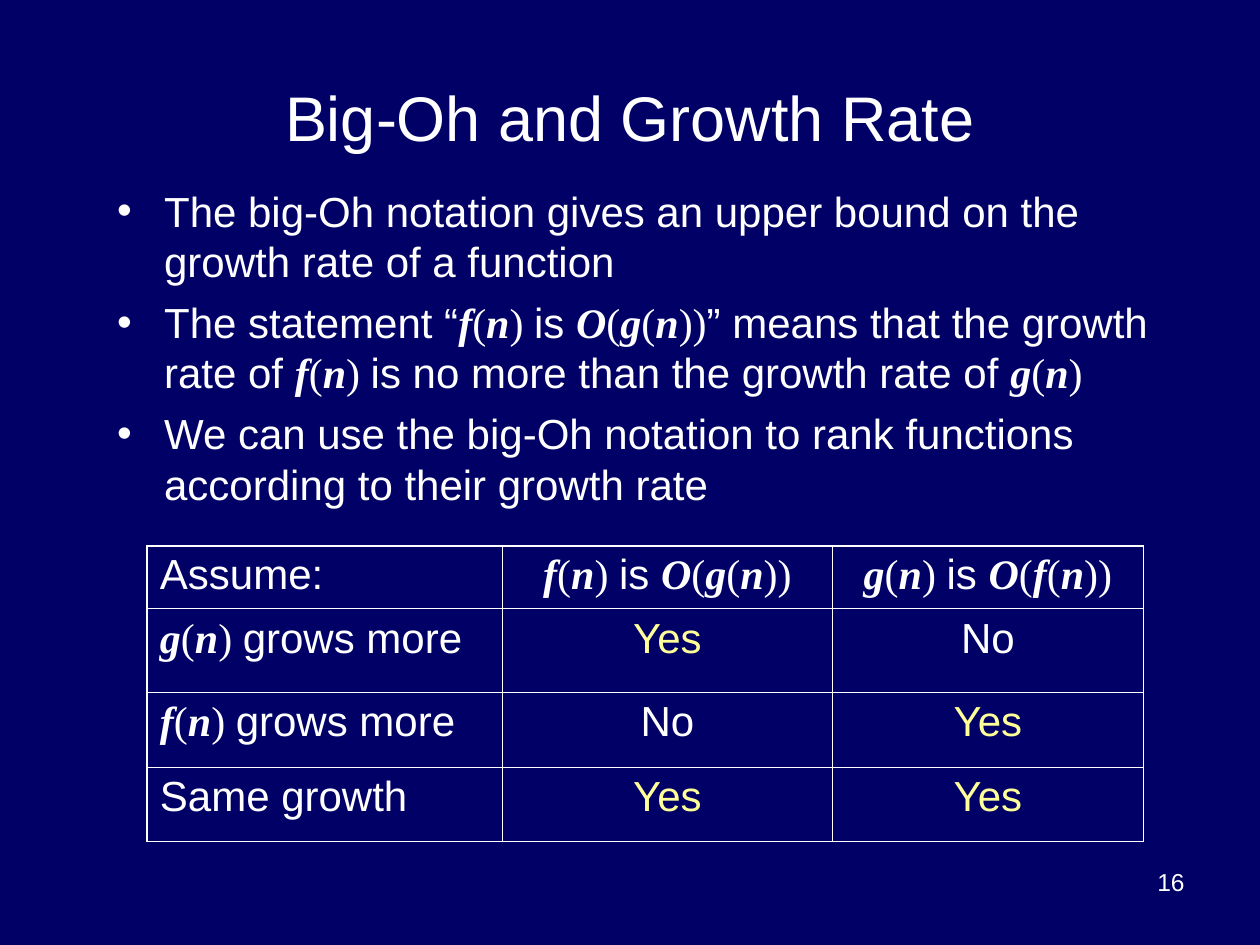
from dataclasses import dataclass
from itertools import groupby

from lxml import etree
from pptx import Presentation
from pptx import util as u
from pptx.dml.color import RGBColor
from pptx.enum import text
from pptx.oxml import ns

Cm, Pt = u.Cm, u.Pt
LEFT, MID, RIGHT = text.PP_ALIGN.LEFT, text.PP_ALIGN.CENTER, text.PP_ALIGN.RIGHT


@dataclass(frozen=True)
class Theme:
    back: str = "000066"
    ink: str = "FFFFFF"
    accent: str = "FFFF99"
    sans: str = "Arial"
    serif: str = "Times New Roman"
    title: int = 36
    body: int = 24
    small: int = 14
    gap: int = 6
    thin: float = 0.45
    thick: float = 1.08


THEME = Theme()

# Formulas stand between dollar signs.
POINTS = [
    "The big-Oh notation gives an upper bound on the growth rate of a function",
    "The statement “$f(n) $is $O(g(n))$” means that the growth rate of "
    "$f(n) $is no more than the growth rate of $g(n)$",
    "We can use the big-Oh notation to rank functions according to their growth rate",
]
ROWS = [
    ["Assume:", "$f(n) $is $O(g(n))$", "$g(n) $is $O(f(n))$"],
    ["$g(n) $grows more", "Yes", "No"],
    ["$f(n) $grows more", "No", "Yes"],
    ["Same growth", "Yes", "Yes"],
]
WIDTHS = [7.16, 6.65, 6.27]
HEIGHTS = [1.27, 1.69, 1.5, 1.5]


def add_run(para, words, face, size, color, strong=False):
    run = para.add_run()
    run.text = words
    font = run.font
    font.name, font.size = face, Pt(size)
    font.bold = font.italic = strong
    font.color.rgb = RGBColor.from_string(color)


def write(para, line, size, align=LEFT, color=THEME.ink):
    """Add a line run by run; letters in formulas are bold italic serif."""
    para.alignment = align
    for i, part in enumerate(line.split("$")):
        if i % 2:
            for strong, chars in groupby(part, str.isalpha):
                add_run(para, "".join(chars), THEME.serif, size, color, strong)
        elif part:
            add_run(para, part, THEME.sans, size, color)


def add_box(slide, left, top, width, height, anchor=text.MSO_ANCHOR.TOP):
    box = slide.shapes.add_textbox(Cm(left), Cm(top), Cm(width), Cm(height))
    frame = box.text_frame
    frame.word_wrap = True
    frame.vertical_anchor = anchor
    return frame


def add_mark(para):
    """Give a paragraph a round bullet and a hanging indent."""
    props = para._p.get_or_add_pPr()
    props.set("marL", str(Cm(0.95)))
    props.set("indent", str(-Cm(0.95)))
    color = etree.SubElement(props, ns.qn("a:buClr"))
    etree.SubElement(color, ns.qn("a:srgbClr"), val=THEME.ink)
    etree.SubElement(props, ns.qn("a:buFont"), typeface=THEME.sans)
    etree.SubElement(props, ns.qn("a:buChar"), char="•")


def add_list(slide, points):
    frame = add_box(slide, 2.11, 3.61, 22.22, 8.46)
    for i, point in enumerate(points):
        para = frame.add_paragraph() if i else frame.paragraphs[0]
        add_mark(para)
        if i:
            para.space_before = Pt(THEME.gap)
        write(para, point, THEME.body)


def add_edge(cell, side, width):
    props = cell._tc.get_or_add_tcPr()
    line = etree.SubElement(props, ns.qn(f"a:ln{side}"), w=str(Pt(width)))
    fill = etree.SubElement(line, ns.qn("a:solidFill"))
    etree.SubElement(fill, ns.qn("a:srgbClr"), val=THEME.ink)


def add_grid(slide, rows):
    last_row, last_col = len(rows) - 1, len(WIDTHS) - 1
    frame = slide.shapes.add_table(
        len(rows), len(WIDTHS), Cm(2.97), Cm(11), Cm(sum(WIDTHS)), Cm(sum(HEIGHTS)))
    table = frame.table
    table.first_row = table.horz_banding = False
    for col, width in zip(table.columns, WIDTHS):
        col.width = Cm(width)
    for r, (row, height) in enumerate(zip(rows, HEIGHTS)):
        table.rows[r].height = Cm(height)
        for c, line in enumerate(row):
            cell = table.cell(r, c)
            outer = {"L": c == 0, "R": c == last_col, "T": r == 0, "B": r == last_row}
            for side, rim in outer.items():
                add_edge(cell, side, THEME.thick if rim else THEME.thin)
            cell.fill.background()
            color = THEME.accent if line == "Yes" else THEME.ink
            para = cell.text_frame.paragraphs[0]
            write(para, line, THEME.body, MID if c else LEFT, color)


def main():
    deck = Presentation()
    deck.slide_width, deck.slide_height = Cm(25.4), Cm(19.05)
    slide = deck.slides.add_slide(deck.slide_layouts[6])
    back = slide.background.fill
    back.solid()
    back.fore_color.rgb = RGBColor.from_string(THEME.back)

    title = add_box(slide, 1.27, 0.76, 22.86, 3.18, text.MSO_ANCHOR.MIDDLE)
    write(title.paragraphs[0], "Big-Oh and Growth Rate", THEME.title, MID)
    add_list(slide, POINTS)
    add_grid(slide, ROWS)
    number = add_box(slide, 18.2, 17.35, 5.93, 1.32)
    write(number.paragraphs[0], "16", THEME.small, RIGHT)
    deck.save("out.pptx")


if __name__ == "__main__":
    main()
